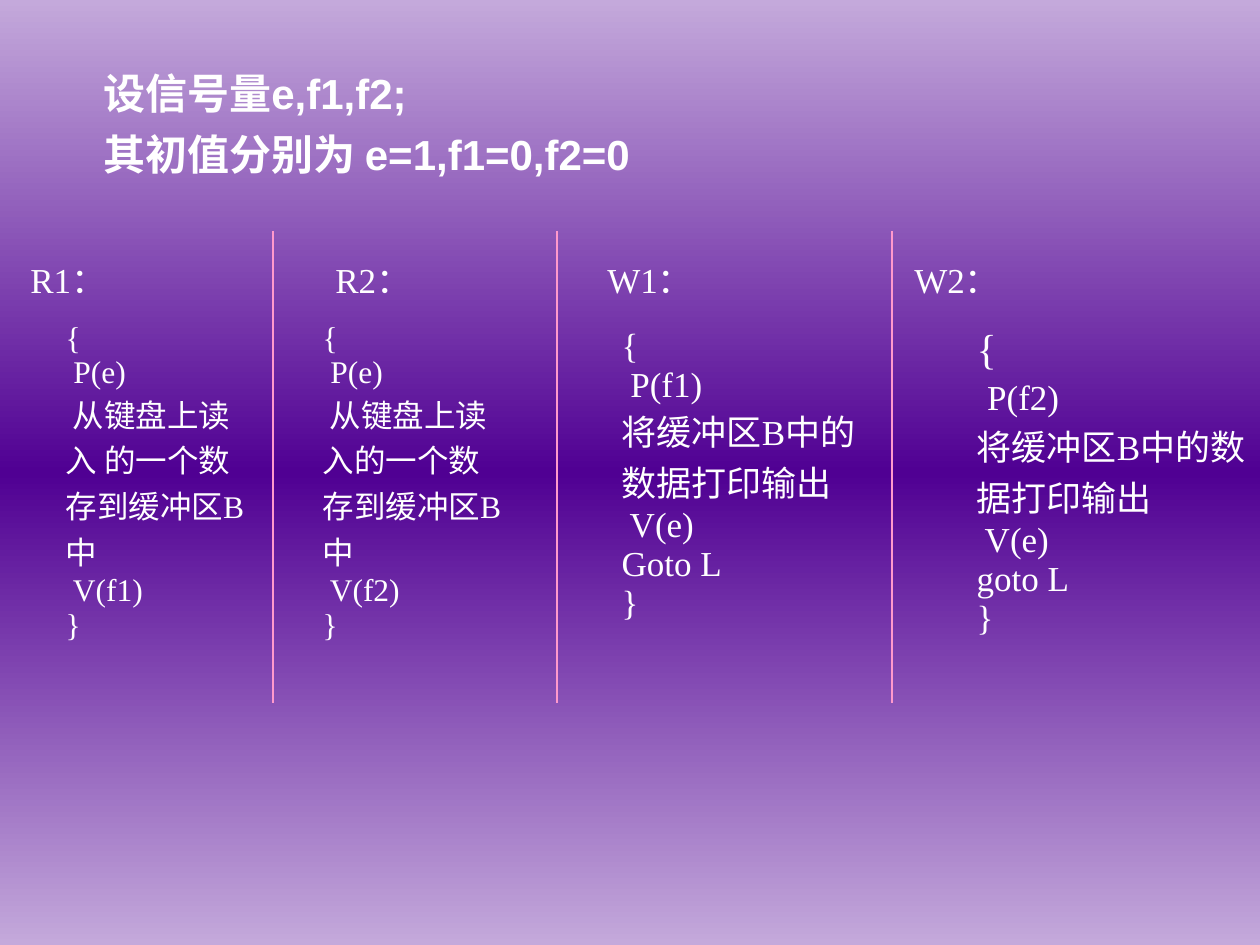
import copy
import pptx
import pptx.util
import pptx.oxml
import pptx.oxml.ns
import pptx.dml.color
import pptx.enum.text
import pptx.enum.shapes

SANS, SERIF = "Arial", "Times New Roman"
WHITE, PINK = "FFFFFF", "FF99CC"
STOPS = [(0, "C4A9DB"), (50, "500093"), (100, "C4A9DB")]
PLAIN = "{2D5ABB26-0587-4C30-8999-92F81FD0307C}"

TITLE = ["设信号量e,f1,f2;", "其初值分别为 e=1,f1=0,f2=0"]
HEADS = [
    (18, 252, 415, 305, "R1：\tR2："),
    (595, 252, 426, 307, "W1：\tW2："),
]
READ = [
    ["{", " P(e)", " 从键盘上读入 的一个数存到缓冲区B中", " V(f1)", "}"],
    ["{", " P(e)", " 从键盘上读入的一个数存到缓冲区B中", " V(f2)", "}"],
]
PRINT = "将缓冲区B中的数据打印输出"
WRITE = [
    ["{", " P(f1)", PRINT, " V(e)", "Goto L", "}"],
    [("{", 24), [(" ", 24), ("P(f2)", 20)], PRINT, " V(e)", "goto L", "}"],
]
TABLES = [
    (53, 315, 315, [212, 45, 212], 6, 18, READ),
    (609, 273, 374, [291, 64, 296], 54, 20, WRITE),
]
RULES = [273, 557, 892]
TOP, END = 231, 703


def px(n):
    return pptx.util.Emu(round(n * 914400 / 126))


def rgb(code):
    return pptx.dml.color.RGBColor.from_string(code)


def qn(tag):
    return pptx.oxml.ns.qn(tag)


def write(frame, lines, size, font, bold=False, gap=0):
    for i, line in enumerate(lines):
        para = frame.add_paragraph() if i else frame.paragraphs[0]
        para.space_before = pptx.util.Pt(gap)
        parts = line if isinstance(line, list) else [line]
        for part in parts:
            text, pts = part if isinstance(part, tuple) else (part, size)
            run = para.add_run()
            run.text = text
            run.font.size = pptx.util.Pt(pts)
            run.font.name = font
            run.font.bold = bold
            run.font.color.rgb = rgb(WHITE)


def box(slide, x, y, w, h):
    frame = slide.shapes.add_textbox(px(x), px(y), px(w), px(h)).text_frame
    frame.word_wrap = True
    frame.vertical_anchor = pptx.enum.text.MSO_ANCHOR.MIDDLE
    return frame


def paint(slide):
    fill = slide.background.fill
    fill.gradient()
    fill.gradient_angle = 270
    first = fill.gradient_stops[0]
    first.color.rgb = rgb(STOPS[0][1])
    group = slide.element.find(".//" + qn("a:gsLst"))
    seed = copy.deepcopy(group[0])
    for item in list(group):
        group.remove(item)
    for spot, code in STOPS:
        stop = copy.deepcopy(seed)
        stop.set("pos", str(spot * 1000))
        stop.find(qn("a:srgbClr")).set("val", code)
        for extra in list(stop[0]):
            stop[0].remove(extra)
        group.append(stop)


def grid(slide, x, y, h, cols, inset, size, codes):
    frame = slide.shapes.add_table(1, len(cols), px(x), px(y), px(sum(cols)), px(h))
    table = frame.table
    table.first_row = table.horz_banding = False
    frame.element.find(".//" + qn("a:tableStyleId")).text = PLAIN
    table.rows[0].height = px(h)
    for i, wide in enumerate(cols):
        table.columns[i].width = px(wide)
        table.cell(0, i).fill.background()
    for i, code in enumerate(codes):
        cell = table.cell(0, 2 * i)
        cell.margin_top = px(inset)
        write(cell.text_frame, code, size, SERIF)


def rule(slide, x):
    kind = pptx.enum.shapes.MSO_CONNECTOR.STRAIGHT
    line = slide.shapes.add_connector(kind, px(x), px(TOP), px(x), px(END))
    line.line.color.rgb = rgb(PINK)
    line.line.width = pptx.util.Pt(0.75)
    props = line.element.find(qn("p:spPr"))
    props.append(pptx.oxml.parse_xml(f"<a:effectLst {pptx.oxml.ns.nsdecls('a')}/>"))


def main():
    deck = pptx.Presentation()
    deck.slide_width, deck.slide_height = px(1260), px(945)
    slide = deck.slides.add_slide(deck.slide_layouts[6])
    paint(slide)
    write(box(slide, 91, 62, 562, 123), TITLE, 24, SANS, True, 6)
    for x, y, w, tab, text in HEADS:
        frame = box(slide, x, y, w, 54)
        write(frame, [text], 20, SERIF)
        props = frame.paragraphs[0]._p.get_or_add_pPr()
        props.append(pptx.oxml.parse_xml(
            f'<a:tabLst {pptx.oxml.ns.nsdecls("a")}><a:tab pos="{px(tab)}" algn="l"/></a:tabLst>'))
    for row in TABLES:
        grid(slide, *row)
    for x in RULES:
        rule(slide, x)
    deck.save("out.pptx")


if __name__ == "__main__":
    main()
